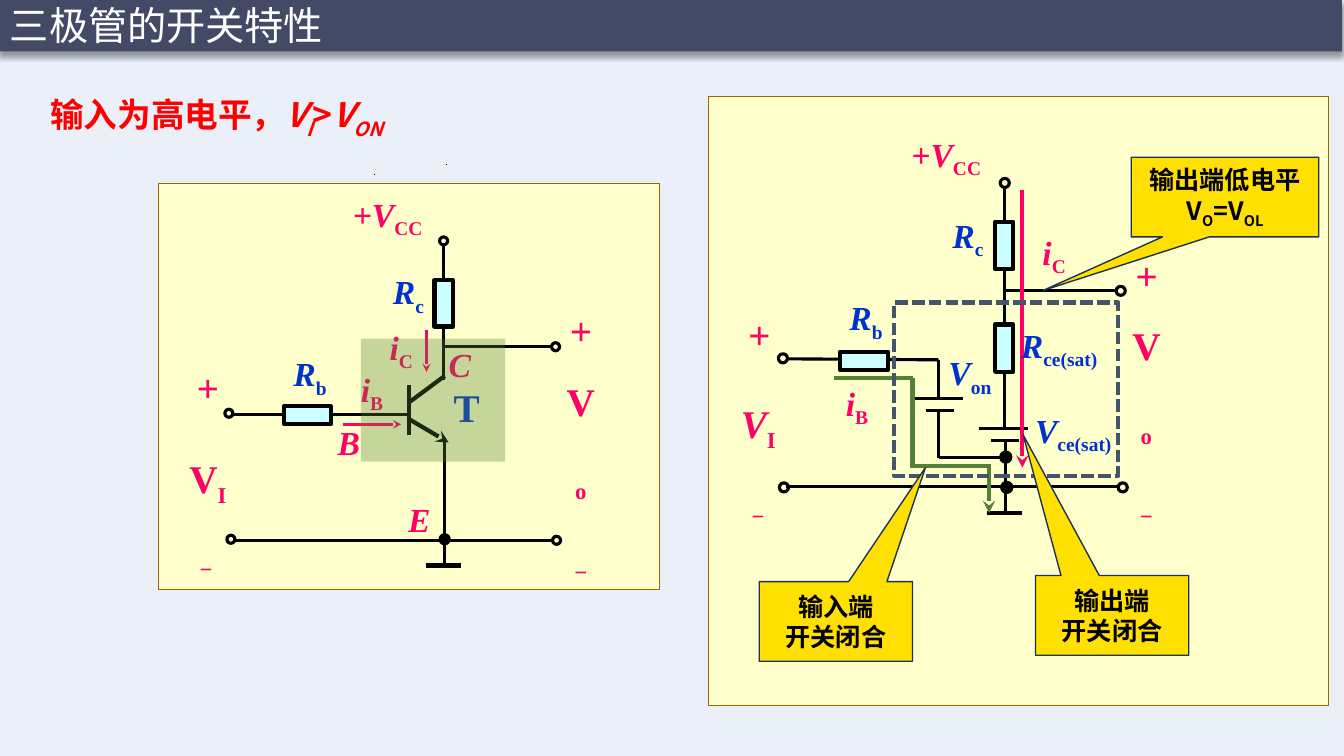
from dataclasses import dataclass

from lxml import etree
from pptx import Presentation
from pptx.dml.color import RGBColor
from pptx.enum.dml import MSO_LINE
from pptx.enum.shapes import MSO_CONNECTOR, MSO_SHAPE
from pptx.enum.text import MSO_ANCHOR, MSO_AUTO_SIZE, PP_ALIGN
from pptx.oxml.ns import qn
from pptx.util import Inches, Pt

RECT, OVAL = MSO_SHAPE.RECTANGLE, MSO_SHAPE.OVAL
CALLOUT = MSO_SHAPE.RECTANGULAR_CALLOUT
STRAIGHT = MSO_CONNECTOR.STRAIGHT
TOP, MIDDLE = MSO_ANCHOR.TOP, MSO_ANCHOR.MIDDLE
LEFT, CENTER, JUSTIFY = PP_ALIGN.LEFT, PP_ALIGN.CENTER, PP_ALIGN.JUSTIFY
GROW = MSO_AUTO_SIZE.SHAPE_TO_FIT_TEXT
SYS_DASH = MSO_LINE.SQUARE_DOT


@dataclass(frozen=True)
class Theme:
    sans: str = "Noto Sans CJK SC"
    serif: str = "Times New Roman"
    bar: str = "42465B"
    tint: str = "4472C4"
    white: str = "FFFFFF"
    black: str = "000000"
    red: str = "FF0000"
    pink: str = "FF0066"
    blue: str = "0033CC"
    green: str = "548235"
    cream: str = "FFFFCC"
    brown: str = "996600"
    resistor: str = "CCFFFF"
    slate: str = "44546A"
    yellow: str = "FFE000"
    navy: str = "1E3256"
    title: int = 28
    large: int = 28
    label: int = 24
    note: int = 18
    wire: float = 2.25
    bold_wire: float = 3


class CircuitPage:
    def __init__(self, page, theme):
        self.page, self.theme = page, theme

    def shape(self, kind, at, fill=None, line=None, width=1, alpha=None):
        item = self.page.shapes.add_shape(kind, *map(Inches, at))
        item.shadow.inherit = False
        if fill:
            item.fill.solid()
            item.fill.fore_color.rgb = RGBColor.from_string(fill)
        else:
            item.fill.background()
        if line:
            item.line.color.rgb = RGBColor.from_string(line)
            item.line.width = Pt(width)
        else:
            item.line.fill.background()
        if alpha:
            color = item._element.spPr.find(qn("a:solidFill"))[0]
            etree.SubElement(color, qn("a:alpha"), val=str(alpha * 1000))
        return item

    def line(self, x1, y1, x2, y2, color=None, width=None, arrow=False):
        item = self.page.shapes.add_connector(STRAIGHT, *map(Inches, (x1, y1, x2, y2)))
        item.line.color.rgb = RGBColor.from_string(color or self.theme.black)
        item.line.width = Pt(width or self.theme.wire)
        if arrow:
            outline = item._element.spPr.find(qn("a:ln"))
            etree.SubElement(outline, qn("a:tailEnd"), type="stealth")
        etree.SubElement(item._element.spPr, qn("a:effectLst"))

    def dot(self, x, y, size, solid=False):
        black = self.theme.black
        self.shape(OVAL, (x, y, size, size), black if solid else None, black,
                   self.theme.bold_wire if solid else self.theme.wire)

    def resistor(self, *at):
        self.shape(RECT, at, self.theme.resistor, self.theme.black, self.theme.bold_wire)

    def add_spans(self, para, runs, size, color, font, bold=True):
        """Each run is (text, marks): i for italic, s for subscript."""
        for text, marks in runs:
            span = para.add_run()
            span.text = text
            span.font.size, span.font.bold = Pt(size), bold
            span.font.italic = "i" in marks
            span.font.color.rgb = RGBColor.from_string(color)
            span.font.name = font
            props = span._r.get_or_add_rPr()
            etree.SubElement(props, qn("a:ea"), typeface=font)
            if "s" in marks:
                props.set("baseline", "-25000")

    def text(self, at, rows, color, size=None, font=None, bold=True, wrap=True,
             anchor=MIDDLE, align=CENTER, grow=True):
        """Each row is (runs, line spacing, space before in points)."""
        box = self.page.shapes.add_textbox(*map(Inches, at))
        frame = box.text_frame
        frame.word_wrap, frame.vertical_anchor = wrap, anchor
        if grow:
            frame.auto_size = GROW
        for index, (runs, spacing, before) in enumerate(rows):
            para = frame.add_paragraph() if index else frame.paragraphs[0]
            para.alignment, para.line_spacing = align, spacing
            if before:
                para.space_before = Pt(before)
            self.add_spans(para, runs, size or self.theme.label, color,
                           font or self.theme.serif, bold)

    def label(self, at, base, sub, color, **options):
        runs = [(base, "i")] + ([(sub, "s")] if sub else [])
        self.text(at, [(runs, 1.0, 0)], color, **options)

    def callout(self, at, tip, rows):
        item = self.shape(CALLOUT, at, self.theme.yellow, self.theme.navy)
        item.adjustments[0], item.adjustments[1] = tip
        frame = item.text_frame
        frame.word_wrap, frame.vertical_anchor = True, MIDDLE
        for index, runs in enumerate(rows):
            para = frame.add_paragraph() if index else frame.paragraphs[0]
            para.alignment = CENTER
            self.add_spans(para, runs, self.theme.note, self.theme.black, self.theme.sans)

    def input_signs(self, *at):
        self.text(at, [([("+", "i")], 1.5, 0), ([("−", "s")], 1.2, 77)],
                  self.theme.pink, self.theme.large, wrap=False)

    def output_signs(self, *at):
        rows = [[("+", "i")], [("V", ""), ("o", "s")], [("−", "s")]]
        self.text(at, [(runs, 1.5, 0) for runs in rows], self.theme.pink, self.theme.large)

    def input_voltage(self, at, marks):
        self.text(at, [([("V", marks), ("I", "s")], 1.2, 0)], self.theme.pink,
                  self.theme.large, wrap=False, anchor=TOP, align=LEFT)

    def panel(self, *at):
        self.shape(RECT, at, self.theme.cream, self.theme.brown, 0.75)


def header(draw):
    look = draw.theme
    bar = draw.shape(RECT, (-0.02, -0.01, 13.33, 0.52), look.bar)
    effects = bar._element.spPr.find(qn("a:effectLst"))
    shadow = etree.SubElement(effects, qn("a:outerShdw"), blurRad=str(Pt(4)),
                              dist=str(Pt(3)), dir="5400000", rotWithShape="0")
    shade = etree.SubElement(shadow, qn("a:srgbClr"), val=look.black)
    etree.SubElement(shade, qn("a:alpha"), val="40000")
    draw.shape(RECT, (-0.17, -0.01, 13.67, 7.65), look.tint, alpha=10)
    draw.text((0, -0.18, 7.24, 0.92), [([("三极管的开关特性", "")], 0.9, 0)], look.white,
              look.title, look.sans, bold=False, align=LEFT, grow=False)
    condition = [("输入为高电平，", ""), ("V", "i"), ("I", "is"), (">", ""),
                 ("V", "i"), ("ON", "is")]
    draw.text((0.4, 0.73, 6.84, 0.64), [(condition, 1.5, 0)], look.red, look.label,
              look.sans, align=JUSTIFY)
    for x, y in [(3.71, 1.73), (4.42, 1.63)]:
        draw.line(x, y, x + 0.01, y, width=0.75)


def equivalent_circuit(draw):
    look = draw.theme
    draw.panel(7.03, 0.96, 6.15, 6.04)
    # Wires, ground and the two batteries
    draw.line(9.79, 5.09, 10.14, 5.09, width=look.bold_wire)
    for wire in [(9.96, 1.86, 9.96, 3.22), (7.8, 4.83, 11.09, 4.83), (7.8, 3.56, 9.31, 3.57),
                 (9.97, 4.37, 9.97, 5.1), (9.96, 2.88, 11.09, 2.88), (9.71, 4.25, 10.2, 4.25),
                 (9.83, 4.37, 10.11, 4.37), (9.96, 3.68, 9.96, 4.25), (9.06, 3.95, 9.55, 3.95),
                 (9.18, 4.07, 9.46, 4.07), (9.31, 3.94, 9.31, 3.57), (9.31, 4.07, 9.31, 4.54),
                 (9.31, 4.54, 9.97, 4.54)]:
        draw.line(*wire)
    # Nodes, terminals and resistors
    for x, y in [(9.94, 4.79), (9.93, 4.49)]:
        draw.dot(x, y, 0.09, solid=True)
    for x, y in [(9.92, 1.77), (11.07, 2.84), (11.09, 4.79), (7.73, 4.79), (7.72, 3.51)]:
        draw.dot(x, y, 0.09)
    for y in (2.2, 3.22):
        draw.resistor(9.87, y, 0.18, 0.47)
    draw.resistor(8.33, 3.49, 0.48, 0.18)
    # Current paths
    draw.line(10.14, 1.89, 10.14, 4.64, look.pink, look.bold_wire, arrow=True)
    for *leg, arrow in [(8.27, 3.75, 9.06, 3.75, False), (9.05, 3.75, 9.05, 4.64, False),
                        (9.81, 4.6, 9.81, 5.09, True), (9.05, 4.62, 9.83, 4.62, False)]:
        draw.line(*leg, look.green, look.bold_wire, arrow)
    # Labels
    draw.input_signs(7.32, 3.12, 0.4, 1.85)
    draw.output_signs(11.08, 2.79, 0.58, 1.93)
    draw.input_voltage((7.25, 3.81, 0.56, 0.62), "i")
    draw.label((8.71, 1.3, 1.35, 0.51), "+V", "CC", look.pink)
    for at, base, sub in [((9.33, 2.1, 0.54, 0.51), "R", "c"), ((8.31, 2.92, 0.56, 0.51), "R", "b"),
                          ((9.98, 3.2, 1.05, 0.5), "R", "ce(sat)"),
                          ((10.12, 4.04, 1.05, 0.5), "V", "ce(sat)"),
                          ((9.29, 3.47, 0.66, 0.5), "V", "on")]:
        draw.label(at, base, sub, look.blue, wrap=False)
    draw.label((8.2, 3.75, 0.6, 0.97), "i", "B", look.pink, anchor=TOP)
    draw.label((10.03, 2.25, 0.85, 0.82), "i", "C", look.pink, anchor=TOP)
    # Transistor outline and callouts
    frame = draw.shape(RECT, (8.87, 3, 2.22, 1.72), None, look.slate, look.bold_wire)
    frame.line.dash_style = SYS_DASH
    closed = [("开关闭合", "")]
    draw.callout((7.53, 5.77, 1.52, 0.79), (0.585, -1.933), [[("输入端", "")], closed])
    draw.callout((10.27, 5.71, 1.52, 0.79), (-0.581, -2.268), [[("输出端", "")], closed])
    draw.callout((11.22, 1.56, 1.86, 0.79), (-0.97, 1.173),
                 [[("输出端低电平", "")], [("V", ""), ("O", "s"), ("=V", ""), ("OL", "s")]])


def transistor_circuit(draw):
    look = draw.theme
    draw.panel(1.57, 1.82, 4.97, 4.03)
    # Ground, transistor and wires
    for stroke in [(4.23, 5.61, 4.57, 5.61), (4.06, 3.82, 4.06, 4.32), (4.06, 3.99, 4.41, 3.73)]:
        draw.line(*stroke, width=look.bold_wire)
    draw.line(4.06, 4.16, 4.45, 4.39, width=look.bold_wire, arrow=True)
    for wire in [(4.4, 2.44, 4.4, 3.77), (2.32, 5.36, 5.48, 5.36), (2.32, 4.11, 4.07, 4.11),
                 (4.41, 4.37, 4.41, 5.62), (4.4, 3.44, 5.48, 3.44)]:
        draw.line(*wire)
    # Node, terminals and resistors
    draw.dot(4.37, 5.31, 0.08, solid=True)
    for x, y in [(4.36, 2.35), (5.47, 3.4), (5.48, 5.32), (2.25, 5.31), (2.23, 4.06)]:
        draw.dot(x, y, 0.08)
    draw.resistor(4.31, 2.78, 0.18, 0.46)
    draw.resistor(2.82, 4.03, 0.46, 0.18)
    # Current arrows
    for arrow in [(3.4, 4.21, 3.98, 4.21), (4.23, 3.27, 4.23, 3.69)]:
        draw.line(*arrow, look.pink, 2, arrow=True)
    # Labels
    draw.input_signs(1.85, 3.67, 0.39, 1.81)
    draw.output_signs(5.47, 3.34, 0.58, 1.93)
    draw.input_voltage((1.78, 4.35, 0.59, 0.62), "")
    draw.label((3.19, 1.9, 1.31, 0.5), "+V", "CC", look.pink)
    draw.label((3.79, 2.67, 0.52, 0.5), "R", "c", look.blue, wrap=False)
    draw.label((2.8, 3.48, 0.55, 0.5), "R", "b", look.blue, wrap=False)
    draw.label((3.4, 3.61, 0.58, 0.95), "i", "B", look.pink, anchor=TOP)
    draw.label((3.57, 3.19, 0.82, 0.8), "i", "C", look.pink, anchor=TOP)
    draw.text((4.4, 3.75, 0.46, 0.57), [([("T", "")], 1.0, 0)], look.blue, look.large,
              wrap=False, anchor=TOP, align=LEFT)
    for x, y, pin in [(3.17, 4.14, "B"), (3.87, 4.9, "E"), (4.27, 3.36, "C")]:
        draw.label((x, y, 0.58, 0.5), pin, "", look.pink)
    # Highlight over the transistor
    draw.shape(RECT, (3.58, 3.36, 1.43, 1.22), look.green, alpha=33)


def main():
    deck = Presentation()
    deck.slide_width, deck.slide_height = Inches(13.33), Inches(7.5)
    draw = CircuitPage(deck.slides.add_slide(deck.slide_layouts[6]), Theme())
    header(draw)
    equivalent_circuit(draw)
    transistor_circuit(draw)
    deck.save("out.pptx")


if __name__ == "__main__":
    main()
